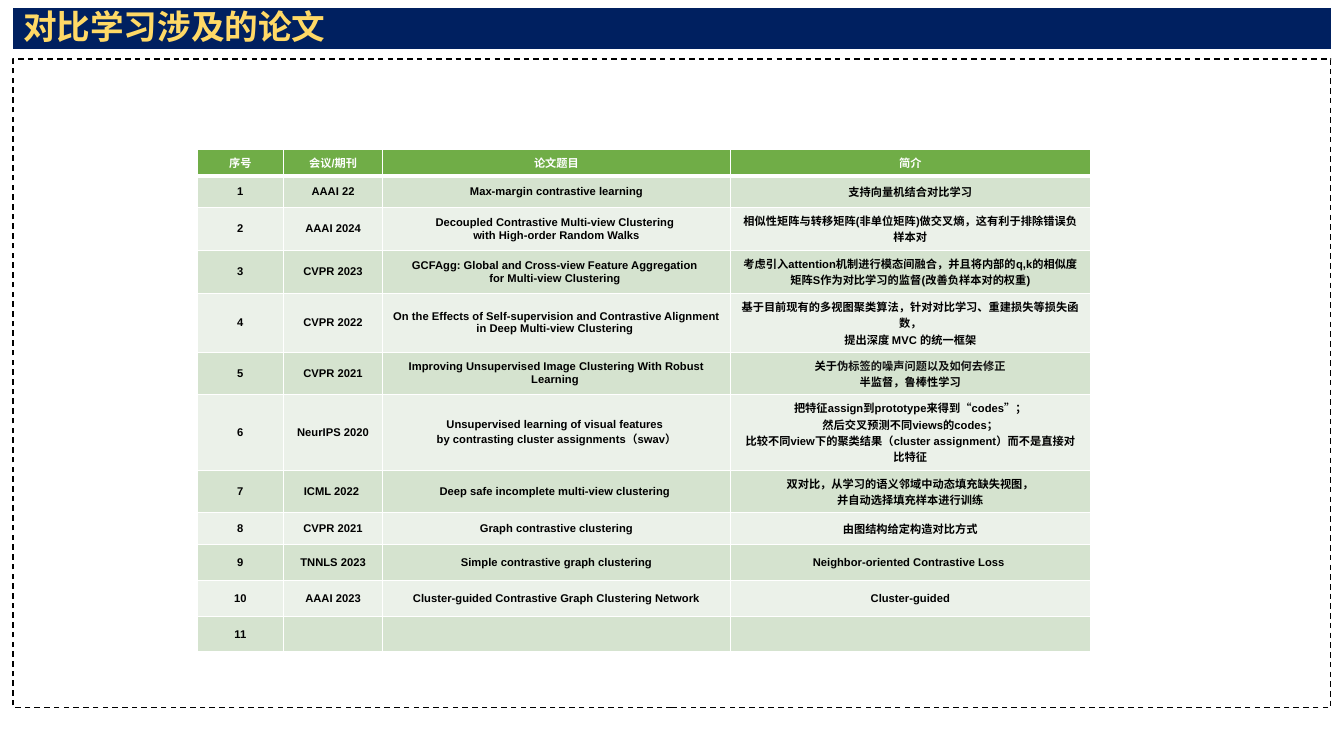
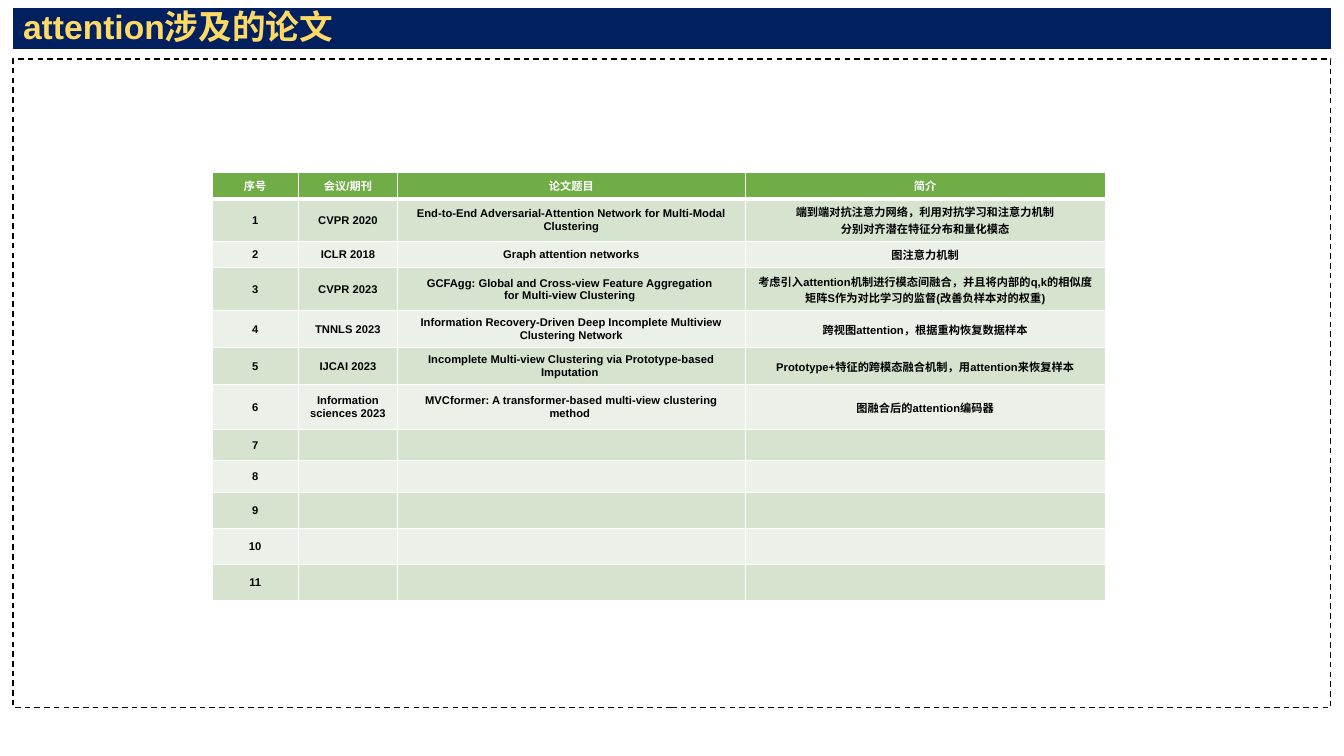
from dataclasses import dataclass

from lxml.etree import SubElement
from pptx import Presentation
from pptx.dml.color import RGBColor
from pptx.enum.dml import MSO_LINE
from pptx.enum.shapes import MSO_SHAPE
from pptx.enum.text import MSO_ANCHOR, PP_ALIGN
from pptx.oxml.ns import qn
from pptx.util import Pt


@dataclass(frozen=True)
class Theme:
    font: str = "Arial"
    title_size: float = 24
    table_size: float = 8
    navy: str = "002060"
    gold: str = "FFD966"
    green: str = "70AD47"
    dark_band: str = "D5E3CF"
    light_band: str = "EBF1E9"
    white: str = "FFFFFF"
    ink: str = "000000"
    soft_ink: str = "121212"


THEME = Theme()
MARGIN_LEFT, CONTENT_WIDTH = 9.4, 941.2
COLUMN_WIDTHS = [61.8, 70.7, 248.5, 257]
CONTRASTIVE_ROW_HEIGHTS = [19, 22.3, 30.7, 30.7, 42.1, 30.1, 54.2, 30.4, 22.5, 25.7, 25.7, 25.7]
ATTENTION_ROW_HEIGHTS = [18.8, 30.5, 18.9, 30.7, 25.1, 25.1, 32, 22.3, 22.6, 25.7, 25.7, 25.7]
HEADER = ["序号", "会议/期刊", "论文题目", "简介"]
GCFAGG = (
    "CVPR 2023",
    "GCFAgg: Global and Cross-view Feature Aggregation \nfor Multi-view Clustering ",
    "考虑引入attention机制进行模态间融合，并且将内部的q,k的相似度矩阵S作为对比学习的监督(改善负样本对的权重)",
)

# Each paper: venue, title, summary. A newline starts a paragraph; text after "|" is in soft ink.
CONTRASTIVE_PAPERS = [
    ("AAAI 22", "Max-margin contrastive learning", "支持向量机结合对比学习"),
    ("AAAI 2024",
     "Decoupled Contrastive Multi-view Clustering \nwith High-order Random Walks",
     "相似性矩阵与转移矩阵(非单位矩阵)做交叉熵，这有利于排除错误负样本对"),
    GCFAGG,
    ("CVPR 2022",
     "On the Effects of Self-supervision and Contrastive Alignment \nin Deep Multi-view Clustering ",
     "基于目前现有的多视图聚类算法，针对对比学习、重建损失等损失函数，\n提出深度 MVC 的统一框架"),
    ("CVPR 2021",
     "Improving Unsupervised Image Clustering With Robust Learning ",
     "关于|伪标签的噪声问题以及如何去修正\n半监督，鲁棒性学习"),
    ("NeurIPS 2020",
     "Unsupervised learning of visual features \nby contrasting cluster assignments（swav）",
     "把特征assign到prototype来得到“codes”；\n然后交叉预测不同views的codes；\n"
     "比较不同view下的聚类结果（cluster assignment）而不是直接对比特征"),
    ("ICML 2022 ", "Deep safe incomplete multi-view clustering ",
     "双对比，从学习的语义邻域中动态填充缺失视图，\n并自动选择填充样本进行训练"),
    ("CVPR 2021", "Graph contrastive clustering", "由图结构给定构造对比方式"),
    ("TNNLS 2023", "Simple contrastive graph clustering", "Neighbor-oriented Contrastive Loss "),
    ("AAAI 2023", "Cluster-guided Contrastive Graph Clustering Network", "Cluster-guided"),
]

ATTENTION_PAPERS = [
    ("CVPR 2020",
     "End-to-End Adversarial-Attention Network for Multi-Modal Clustering",
     "端到端对抗注意力网络，利用对抗学习和注意力机制\n分别对齐潜在特征分布和量化模态"),
    ("ICLR 2018", "Graph attention networks", "图注意力机制"),
    GCFAGG,
    ("TNNLS 2023",
     "Information Recovery-Driven Deep Incomplete Multiview Clustering Network",
     "跨视图attention，根据重构恢复数据样本"),
    ("IJCAI 2023",
     "Incomplete Multi-view Clustering via Prototype-based Imputation ",
     "Prototype+特征的跨模态融合机制，用attention来恢复样本"),
    ("Information sciences 2023",
     "MVCformer: A transformer-based multi-view clustering method ",
     "图融合后的attention编码器"),
]


def color(value):
    return RGBColor.from_string(value)


def style_run(run, size, ink):
    run.font.name = THEME.font
    run.font.size = Pt(size)
    run.font.bold = True
    run.font.color.rgb = color(ink)


def add_rectangle(slide, top, height):
    shape = slide.shapes.add_shape(
        MSO_SHAPE.RECTANGLE, Pt(MARGIN_LEFT), Pt(top), Pt(CONTENT_WIDTH), Pt(height))
    shape.shadow.inherit = False
    return shape


def add_frame(slide):
    frame = add_rectangle(slide, 42.2, 463.4)
    frame.fill.background()
    frame.line.color.rgb = color(THEME.ink)
    frame.line.width = Pt(1)
    frame.line.dash_style = MSO_LINE.DASH


def add_title(slide, title):
    band = add_rectangle(slide, 5.8, 29.2)
    band.fill.solid()
    band.fill.fore_color.rgb = color(THEME.navy)
    band.line.fill.background()

    box = slide.shapes.add_textbox(Pt(MARGIN_LEFT), Pt(6.2), Pt(922), Pt(29))
    text_frame = box.text_frame
    text_frame.word_wrap = True
    text_frame.vertical_anchor = MSO_ANCHOR.MIDDLE
    text_frame.text = title
    paragraph = text_frame.paragraphs[0]
    paragraph.line_spacing = 0.9
    style_run(paragraph.runs[0], THEME.title_size, THEME.gold)


def set_borders(cell, top, bottom):
    """Draw white borders; top and bottom are widths in points."""
    properties = cell._tc.get_or_add_tcPr()
    for side, width in (("L", 1), ("R", 1), ("T", top), ("B", bottom)):
        line = SubElement(properties, qn(f"a:ln{side}"), w=str(Pt(width)))
        fill = SubElement(line, qn("a:solidFill"))
        SubElement(fill, qn("a:srgbClr"), val=THEME.white)


def write_cell(cell, text, ink):
    cell.vertical_anchor = MSO_ANCHOR.MIDDLE
    text_frame = cell.text_frame
    text_frame.text = text.replace("|", "")
    for paragraph, line in zip(text_frame.paragraphs, text.split("\n")):
        paragraph.alignment = PP_ALIGN.CENTER
        plain, _, soft = line.partition("|")
        paragraph.text = plain
        for run in paragraph.runs:
            style_run(run, THEME.table_size, ink)
        if soft:
            run = paragraph.add_run()
            run.text = soft
            style_run(run, THEME.table_size, THEME.soft_ink)
        if not line:  # keeps an empty row from growing to the default text size
            SubElement(paragraph._p, qn("a:endParaRPr"), sz=str(int(THEME.table_size * 100)))


def add_paper_table(slide, left, top, row_heights, papers):
    """Add the numbered table; rows beyond the listed papers stay empty."""
    row_count = len(row_heights)
    papers = papers + [("", "", "")] * (row_count - 1 - len(papers))
    rows = [HEADER] + [[str(number), *paper] for number, paper in enumerate(papers, 1)]
    table = slide.shapes.add_table(
        row_count, len(HEADER), Pt(left), Pt(top),
        Pt(sum(COLUMN_WIDTHS)), Pt(sum(row_heights))).table
    for column, width in zip(table.columns, COLUMN_WIDTHS):
        column.width = Pt(width)
    for row_index, (row, height) in enumerate(zip(rows, row_heights)):
        table.rows[row_index].height = Pt(height)
        if row_index == 0:
            background, ink = THEME.green, THEME.white
        else:
            background = THEME.dark_band if row_index % 2 else THEME.light_band
            ink = THEME.ink
        for column_index, text in enumerate(row):
            cell = table.cell(row_index, column_index)
            set_borders(cell, top=3 if row_index == 1 else 1, bottom=3 if row_index == 0 else 1)
            cell.fill.solid()
            cell.fill.fore_color.rgb = color(background)
            write_cell(cell, text, ink)


def add_paper_slide(presentation, title, left, top, row_heights, papers):
    slide = presentation.slides.add_slide(presentation.slide_layouts[6])
    add_frame(slide)
    add_title(slide, title)
    add_paper_table(slide, left, top, row_heights, papers)


def main():
    presentation = Presentation()
    presentation.slide_width = Pt(960)
    presentation.slide_height = Pt(540)
    add_paper_slide(presentation, "对比学习涉及的论文", 140.8, 106.8,
                    CONTRASTIVE_ROW_HEIGHTS, CONTRASTIVE_PAPERS)
    add_paper_slide(presentation, "attention涉及的论文", 151.4, 123.2,
                    ATTENTION_ROW_HEIGHTS, ATTENTION_PAPERS)
    presentation.save("out.pptx")


if __name__ == "__main__":
    main()
